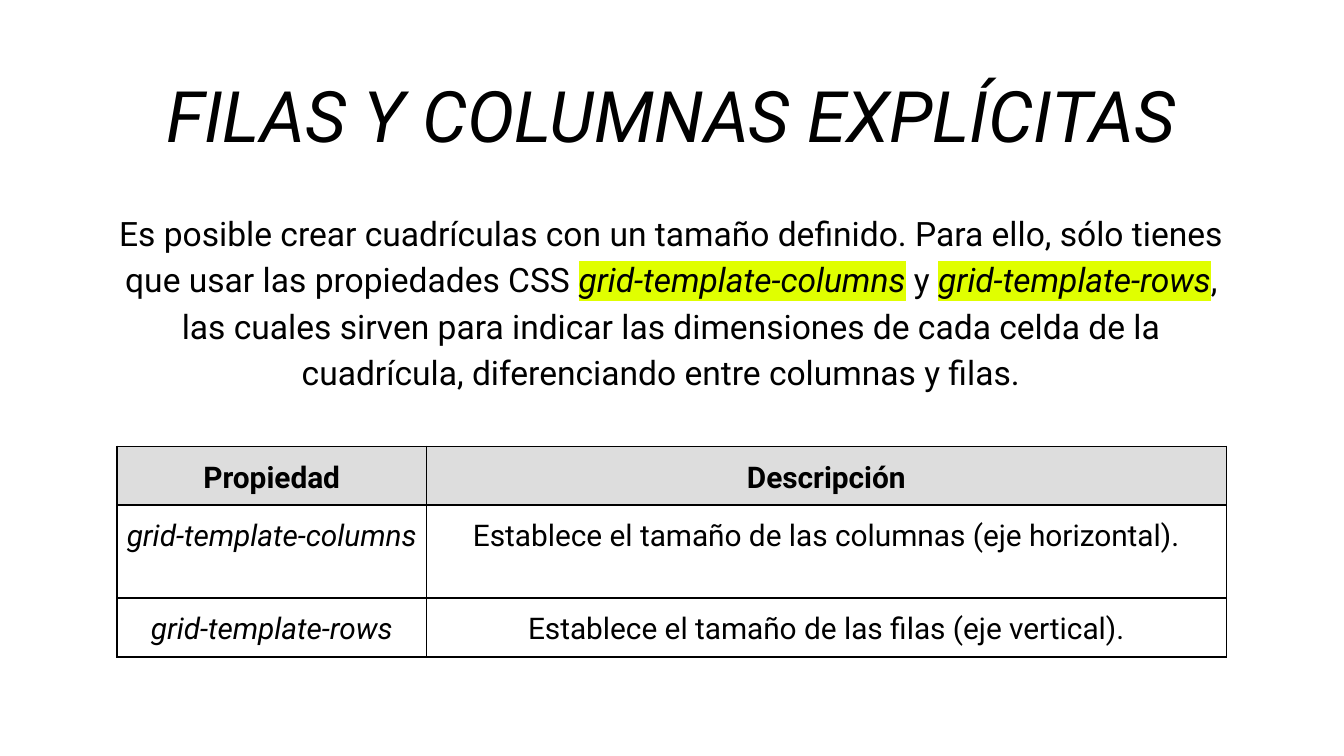
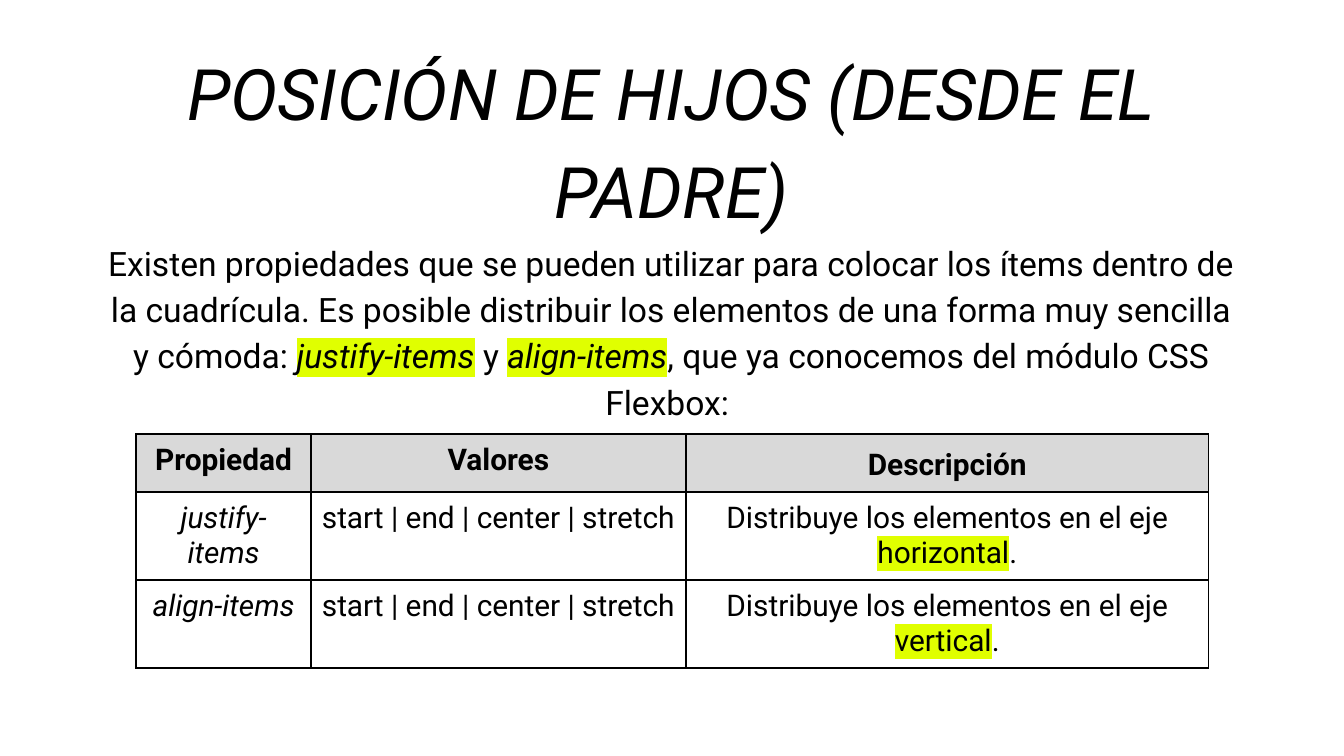
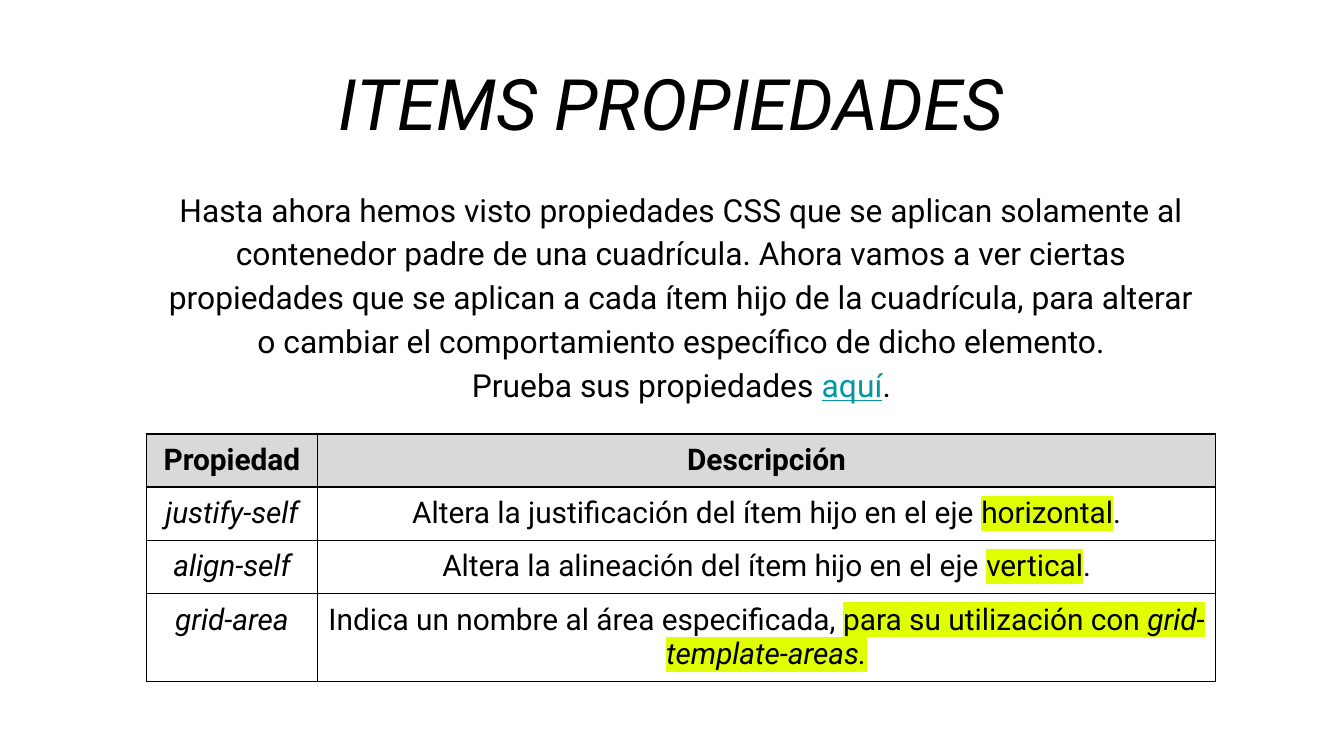
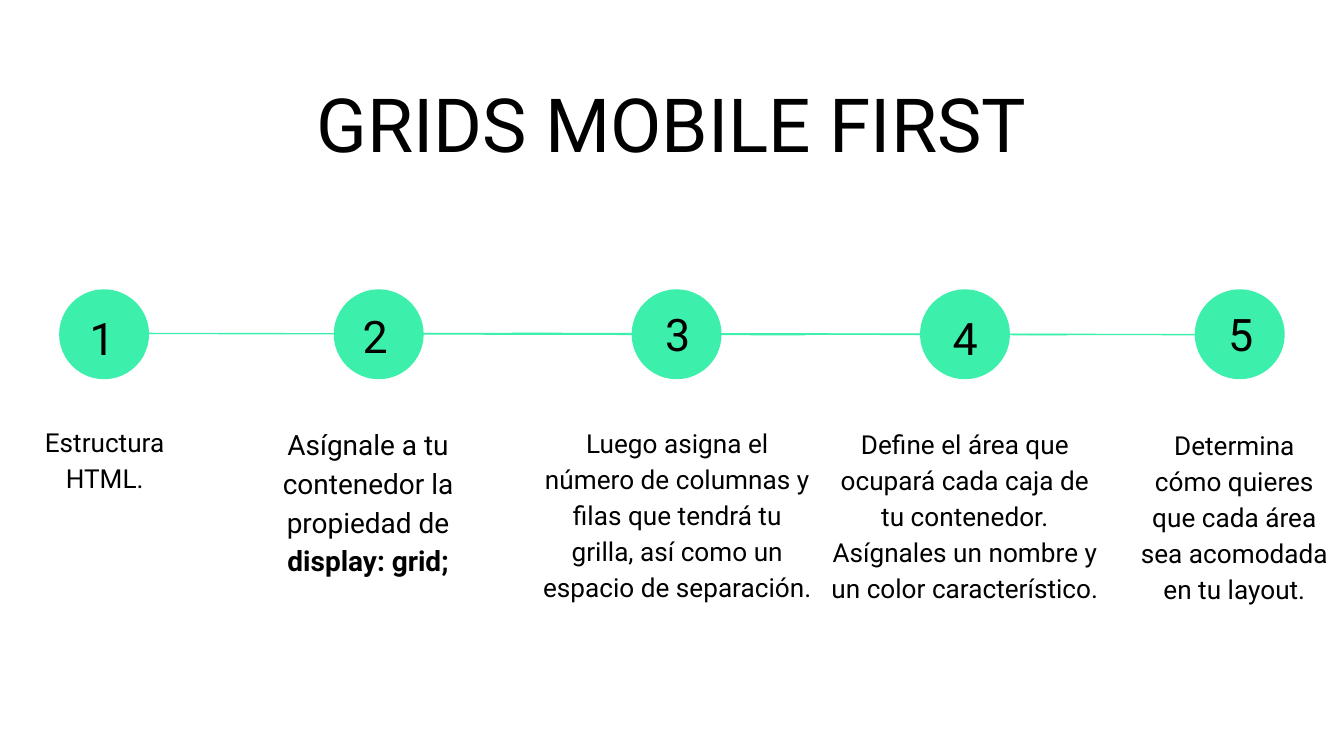
import pptx
import pptx.util
import pptx.dml.color
import pptx.enum.shapes
import pptx.enum.text
import pptx.oxml
import pptx.oxml.ns
import lxml.etree

Pt = pptx.util.Pt
ALIGN = pptx.enum.text.PP_ALIGN
ANCHOR = pptx.enum.text.MSO_ANCHOR
qn = pptx.oxml.ns.qn

# Shared look
FONT = "Roboto"
BLACK = pptx.dml.color.RGBColor(0x00, 0x00, 0x00)
GREEN = pptx.dml.color.RGBColor(0x3C, 0xEF, 0xAB)
LINK = pptx.dml.color.RGBColor(0x00, 0x97, 0xA7)
LIGHT_GREY = pptx.dml.color.RGBColor(0xDD, 0xDD, 0xDD)
GREY = pptx.dml.color.RGBColor(0xD9, 0xD9, 0xD9)
WHITE = pptx.dml.color.RGBColor(0xFF, 0xFF, 0xFF)
YELLOW = pptx.dml.color.RGBColor(0xE0, 0xFF, 0x00)
LOOSE = 1.15


def write_paragraph(paragraph, parts, size, spacing=LOOSE, align=ALIGN.CENTER):
    """Write (text, style) parts; style letters: b bold, i italic, h highlight, u link."""
    paragraph.alignment = align
    paragraph.line_spacing = spacing
    paragraph.space_before = Pt(0)
    for text, style in parts:
        run = paragraph.add_run()
        run.text = text
        run.font.name = FONT
        run.font.size = Pt(size)
        run.font.bold = "b" in style
        run.font.italic = "i" in style
        run.font.underline = "u" in style
        run.font.color.rgb = LINK if "u" in style else BLACK
        if "h" in style:
            highlight = lxml.etree.Element(qn("a:highlight"))
            lxml.etree.SubElement(highlight, qn("a:srgbClr"), val=str(YELLOW))
            run.font._element.find(qn("a:solidFill")).addnext(highlight)


def prepare_frame(shape, box, anchor=ANCHOR.TOP):
    """Place a text shape and give its frame the common insets."""
    shape.left, shape.top, shape.width, shape.height = [Pt(length) for length in box]
    frame = shape.text_frame
    frame.word_wrap = True
    frame.auto_size = pptx.enum.text.MSO_AUTO_SIZE.NONE
    frame.vertical_anchor = anchor
    frame.margin_left = frame.margin_right = Pt(7.2)
    frame.margin_top = frame.margin_bottom = Pt(7.2)
    return frame


presentation = pptx.Presentation()
presentation.slide_width = Pt(720)
presentation.slide_height = Pt(405)
background = presentation.slide_master.background.fill
background.solid()
background.fore_color.rgb = WHITE

# Slides with an introduction and a property table
VALUES = "start | end | center | stretch"
table_slides = [
    {
        "title": "FILAS Y COLUMNAS EXPLÍCITAS",
        "title_box": (50.4, 24.5, 618.5, 54.7),
        "body_box": (50.4, 98.5, 618.5, 123.8),
        "anchor": ANCHOR.MIDDLE,
        "body_size": 18,
        "body": [[
            ("Es posible crear cuadrículas con un tamaño definido. Para ello, sólo "
             "tienes que usar las propiedades CSS ", ""),
            ("grid-template-columns", "ih"), (" y ", ""), ("grid-template-rows", "ih"),
            (", las cuales sirven para indicar las dimensiones de cada celda de la "
             "cuadrícula, diferenciando entre columnas y filas.\t", ""),
        ]],
        "table_at": (62.8, 239.1),
        "columns": [165.6, 428.6],
        "rows": [31.5, 49.8, 31.5],
        "header_fill": LIGHT_GREY,
        "spacing": LOOSE,
        "cells": [
            [[("Propiedad", "b")], [("Descripción", "b")]],
            [[("grid-template-columns", "i")],
             [("Establece el tamaño de las columnas (eje horizontal).", "")]],
            [[("grid-template-rows", "i")],
             [("Establece el tamaño de las filas (eje vertical).", "")]],
        ],
    },
    {
        "title": "POSICIÓN DE HIJOS (DESDE EL PADRE)",
        "title_box": (50.4, 12.4, 618.5, 84.2),
        "body_box": (50.4, 119.5, 618.5, 93.6),
        "anchor": ANCHOR.TOP,
        "body_size": 18,
        "body": [[
            ("Existen propiedades que se pueden utilizar para colocar los ítems dentro "
             "de la cuadrícula. Es posible distribuir los elementos de una forma muy "
             "sencilla y cómoda: ", ""),
            ("justify-items", "ih"), (" y ", ""), ("align-items", "ih"),
            (", que ya conocemos del módulo CSS Flexbox: ", ""),
        ]],
        "table_at": (73, 232.5),
        "columns": [93.6, 200.9, 280],
        "rows": [31.2, 47.1, 47.1],
        "header_fill": GREY,
        "spacing": 1,
        "cells": [
            [[("Propiedad", "b")], [("Valores", "b")], [("Descripción", "b")]],
            [[("justify-items", "i")], [(VALUES, "")],
             [("Distribuye los elementos en el eje ", ""), ("horizontal", "h"), (".", "")]],
            [[("align-items", "i")], [(VALUES, "")],
             [("Distribuye los elementos en el eje ", ""), ("vertical", "h"), (".", "")]],
        ],
    },
    {
        "title": "ITEMS PROPIEDADES",
        "title_box": (50.4, 18, 618.5, 54.7),
        "body_box": (78.5, 102.2, 573.1, 110.9),
        "anchor": ANCHOR.MIDDLE,
        "body_size": 17,
        "body": [
            [("Hasta ahora hemos visto propiedades CSS que se aplican solamente al "
              "contenedor padre de una cuadrícula. Ahora vamos a ver ciertas propiedades "
              "que se aplican a cada ítem hijo de la cuadrícula, para alterar o cambiar "
              "el comportamiento específico de dicho elemento.", "")],
            [("Prueba sus propiedades ", ""), ("aquí", "u"), (".", "")],
        ],
        "table_at": (78.5, 232.5),
        "columns": [91.6, 481.2],
        "rows": [28.5, 28.5, 28.5, 47.1],
        "header_fill": GREY,
        "spacing": 1,
        "cells": [
            [[("Propiedad", "b")], [("Descripción", "b")]],
            [[("justify-self", "i")],
             [("Altera la justificación del ítem hijo en el eje ", ""),
              ("horizontal", "h"), (".", "")]],
            [[("align-self", "i")],
             [("Altera la alineación del ítem hijo en el eje ", ""),
              ("vertical", "h"), (".", "")]],
            [[("grid-area", "i")],
             [("Indica un nombre al área especificada, ", ""),
              ("para su utilización con ", "h"), ("grid-template-areas.", "ih")]],
        ],
    },
]

for content in table_slides:
    slide = presentation.slides.add_slide(presentation.slide_layouts[1])

    # Title and introduction
    title_frame = prepare_frame(slide.shapes.title, content["title_box"])
    write_paragraph(title_frame.paragraphs[0], [(content["title"], "i")], 38)
    body_frame = prepare_frame(slide.placeholders[1], content["body_box"], content["anchor"])
    for index, parts in enumerate(content["body"]):
        paragraph = body_frame.add_paragraph() if index else body_frame.paragraphs[0]
        write_paragraph(paragraph, parts, content["body_size"])
        properties = paragraph._p.get_or_add_pPr()
        properties.set("marL", "0")
        properties.set("indent", "0")
        lxml.etree.SubElement(properties, qn("a:buNone"))

    # Property table
    left, top = content["table_at"]
    columns, rows = content["columns"], content["rows"]
    table = slide.shapes.add_table(
        len(rows), len(columns), Pt(left), Pt(top), Pt(sum(columns)), Pt(sum(rows))).table
    table.first_row = table.horz_banding = False
    for column, width in zip(table.columns, columns):
        column.width = Pt(width)
    for row_index, height in enumerate(rows):
        table.rows[row_index].height = Pt(height)
        for column_index, parts in enumerate(content["cells"][row_index]):
            cell = table.cell(row_index, column_index)
            cell.margin_left = cell.margin_right = Pt(4.8)
            cell.margin_top = cell.margin_bottom = Pt(4.8)
            spacing = LOOSE if parts[0][0] == "Descripción" and len(columns) == 3 \
                else content["spacing"]
            write_paragraph(cell.text_frame.paragraphs[0], parts, 16, spacing)
            for side in ("a:lnL", "a:lnR", "a:lnT", "a:lnB"):
                border = lxml.etree.SubElement(
                    cell._tc.get_or_add_tcPr(), qn(side), w=str(Pt(1)))
                border_fill = lxml.etree.SubElement(border, qn("a:solidFill"))
                lxml.etree.SubElement(border_fill, qn("a:srgbClr"), val=str(BLACK))
            if row_index == 0:
                cell.fill.solid()
                cell.fill.fore_color.rgb = content["header_fill"]
            else:
                cell.fill.background()

# Timeline slide
slide = presentation.slides.add_slide(presentation.slide_layouts[5])
title_frame = prepare_frame(slide.shapes.title, (103, 27.4, 513.4, 77.8))
write_paragraph(title_frame.paragraphs[0], [("GRIDS MOBILE FIRST", "")], 40)

# Line behind the steps
for start, end in [(274.3, 651.6), (54.7, 431.3), (195.1, 571.7)]:
    connector = slide.shapes.add_connector(
        pptx.enum.shapes.MSO_CONNECTOR.STRAIGHT, Pt(start), Pt(178.6), Pt(end), Pt(179.3))
    connector.line.color.rgb = GREEN
    connector.line.width = Pt(0.75)
    lxml.etree.SubElement(connector._element.spPr, qn("a:effectLst"))

# Steps: circle left, number box, number alignment, caption box, caption size, caption
steps = [
    (31.7, (41, 159.1, 21.6, 24.5), ALIGN.LEFT, (8.6, 203, 95, 84.2), 14,
     [("Estructura HTML.", "")]),
    (178.8, (187.2, 158.4, 21.6, 24.5), ALIGN.LEFT, (134.6, 225.8, 125.3, 84.2), 15,
     [("Asígnale a tu contenedor la propiedad de ", ""), ("display: grid;", "b")]),
    (338.4, (349.2, 157, 21.6, 28.8), ALIGN.LEFT, (281.5, 232.6, 162.7, 84.2), 14,
     [("Luego asigna el número de columnas y filas que tendrá tu grilla, así como un "
       "espacio de separación.", "")]),
    (492.9, (503.3, 159.1, 21.6, 24.5), ALIGN.CENTER, (435.6, 221.4, 162.7, 108), 14,
     [("Define el área que ocupará cada caja de tu contenedor. Asígnales un nombre y un "
       "color característico.", "")]),
    (640.1, (650.9, 157, 21.6, 28.8), ALIGN.LEFT, (602.6, 221.8, 117.4, 108), 14,
     [("Determina cómo quieres que cada área sea acomodada en tu layout.", "")]),
]
for number, step in enumerate(steps, start=1):
    circle_left, number_box, number_align, caption_box, caption_size, caption = step
    circle = slide.shapes.add_shape(
        pptx.enum.shapes.MSO_SHAPE.OVAL, Pt(circle_left), Pt(155), Pt(48.2), Pt(48.2))
    circle.shadow.inherit = False
    circle.fill.solid()
    circle.fill.fore_color.rgb = GREEN
    circle.line.fill.background()

    number_frame = prepare_frame(slide.shapes.add_textbox(0, 0, 0, 0), number_box)
    write_paragraph(number_frame.paragraphs[0], [(str(number), "")], 24, 1, number_align)
    caption_frame = prepare_frame(
        slide.shapes.add_textbox(0, 0, 0, 0), caption_box, ANCHOR.MIDDLE)
    write_paragraph(caption_frame.paragraphs[0], caption, caption_size)

presentation.save("out.pptx")
